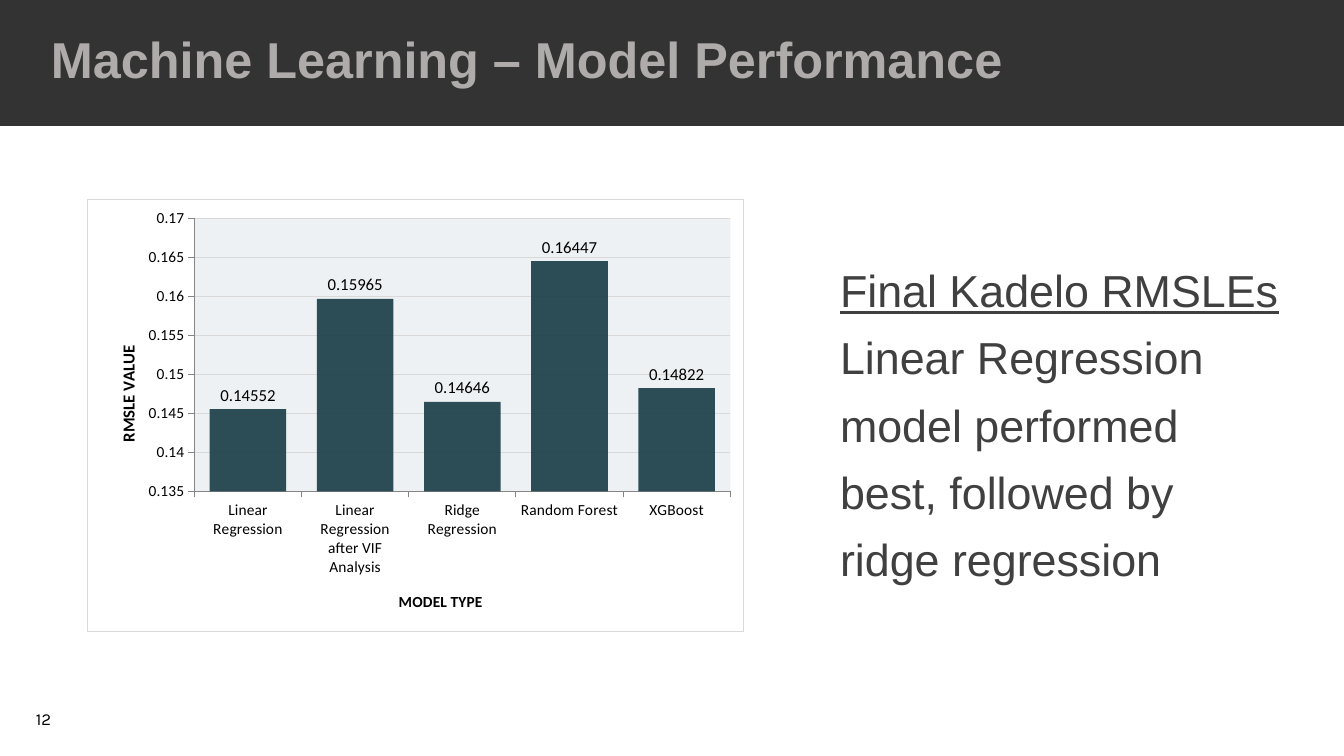
from dataclasses import dataclass

from lxml.etree import SubElement
from pptx import Presentation
from pptx.chart.data import CategoryChartData as ChartData
from pptx.dml.color import RGBColor
from pptx.enum.chart import XL_CHART_TYPE as ChartType, XL_LABEL_POSITION as LabelPosition
from pptx.enum.chart import XL_TICK_MARK as TickMark
from pptx.enum.shapes import MSO_SHAPE as Preset
from pptx.enum.text import MSO_ANCHOR as Anchor, MSO_AUTO_SIZE as AutoSize, PP_ALIGN as Align
from pptx.oxml import parse_xml
from pptx.oxml.ns import nsdecls, qn
from pptx.util import Pt

EMU_PER_PX = 914400 / 100.8


@dataclass(frozen=True)
class Theme:
    band: str = "333333"
    title: str = "AFABAB"
    body: str = "404040"
    ink: str = "000000"
    grid: str = "D9D9D9"
    axis: str = "868686"
    bar: str = "183C46"
    plot: str = "D1D9DF"
    font: str = "Arial"
    chart_font: str = "Calibri"
    number_font: str = "Karla"
    title_size: int = 36
    body_size: int = 32
    label_size: int = 12
    axis_size: int = 11


THEME = Theme()

RMSLE = {
    "Linear Regression": 0.14552,
    "Linear Regression after VIF Analysis": 0.15965,
    "Ridge Regression": 0.14646,
    "Random Forest": 0.16447,
    "XGBoost": 0.14822,
}


def px(length):
    return round(length * EMU_PER_PX)


def apply(target, **values):
    for name, value in values.items():
        setattr(target, name, value)


def set_font(font, name, size, color, **more):
    apply(font, name=name, size=Pt(size), **more)
    font.color.rgb = RGBColor.from_string(color)


def place(shape, left, top, width, height):
    apply(shape, left=px(left), top=px(top), width=px(width), height=px(height))


def set_frame(frame, side, edge, **more):
    apply(frame, margin_left=px(side), margin_right=px(side), margin_top=px(edge),
          margin_bottom=px(edge), word_wrap=True, **more)


# Page parts
def add_band(page):
    band = page.shapes.add_shape(Preset.RECTANGLE, 0, 0, px(1344), px(126))
    band.shadow.inherit = False
    band.fill.solid()
    band.fill.fore_color.rgb = RGBColor.from_string(THEME.band)
    band.line.fill.background()
    page.shapes.title.element.addprevious(band.element)


def fill_title(box, text):
    place(box, 51, -1, 1243, 127)
    set_frame(box.text_frame, 0, 5, vertical_anchor=Anchor.MIDDLE, auto_size=AutoSize.NONE)
    para = box.text_frame.paragraphs[0]
    para.text = text
    apply(para, alignment=Align.LEFT, line_spacing=0.9)
    set_font(para.runs[0].font, THEME.font, THEME.title_size, THEME.title, bold=True)


def fill_body(box, entries):
    place(box, 780, 231, 513, 363)
    frame = box.text_frame
    set_frame(frame, 10, 5, vertical_anchor=Anchor.TOP, auto_size=AutoSize.SHAPE_TO_FIT_TEXT)
    for index, (text, underline, spacing, after) in enumerate(entries):
        para = frame.add_paragraph() if index else frame.paragraphs[0]
        properties = para._p.get_or_add_pPr()
        properties.set("marL", str(px(50)))
        properties.set("indent", "0")
        SubElement(properties, qn("a:buNone"))
        para.text = text
        apply(para, alignment=Align.LEFT, line_spacing=spacing,
              space_before=Pt(0), space_after=Pt(after))
        set_font(para.runs[0].font, THEME.font, THEME.body_size, THEME.body, underline=underline)


def add_page_number(page, number):
    box = page.shapes.add_textbox(px(36), px(709), px(49), px(20))
    set_frame(box.text_frame, 0, 0)
    span = box.text_frame.paragraphs[0].add_run()
    span.text = number
    set_font(span.font, THEME.number_font, THEME.label_size, THEME.ink)


# Chart parts
def set_layout(parent, position, **fractions):
    for old in parent.findall(qn("c:layout")):
        parent.remove(old)
    layout = parse_xml(f"<c:layout {nsdecls('c')}><c:manualLayout/></c:layout>")
    for name, value in fractions.items():
        SubElement(layout[0], qn(f"c:{name}")).set("val", str(value))
    parent.insert(position, layout)


def shape_style(fill, alpha, line):
    outline = f'<a:solidFill><a:srgbClr val="{line}"/></a:solidFill>' if line else "<a:noFill/>"
    return parse_xml(
        f'<c:spPr {nsdecls("c", "a")}><a:solidFill><a:srgbClr val="{fill}">'
        f'<a:alpha val="{alpha * 1000}"/></a:srgbClr></a:solidFill>'
        f'<a:ln w="9525">{outline}</a:ln></c:spPr>')


def style_axis(axis, title, title_size, turn, x, y):
    apply(axis, major_tick_mark=TickMark.OUTSIDE, minor_tick_mark=TickMark.NONE)
    set_font(axis.tick_labels.font, THEME.chart_font, THEME.axis_size, THEME.ink)
    axis.format.line.color.rgb = RGBColor.from_string(THEME.axis)
    frame = axis.axis_title.text_frame
    frame.text = title
    set_font(frame.paragraphs[0].runs[0].font, THEME.chart_font, title_size, THEME.ink, bold=True)
    body = frame._txBody.find(qn("a:bodyPr"))
    body.set("rot", str(turn * 60000))
    body.set("vert", "horz")
    set_layout(axis.axis_title._element, 1, xMode="edge", yMode="edge", x=x, y=y)


def add_rmsle_chart(page):
    data = ChartData(number_format="General")
    data.categories = list(RMSLE)
    data.add_series("Series 1", list(RMSLE.values()))
    chart = page.shapes.add_chart(
        ChartType.COLUMN_CLUSTERED, px(87), px(199), px(657), px(433), data).chart
    apply(chart, has_legend=False, has_title=False)
    set_font(chart.font, THEME.chart_font, 10, THEME.ink)

    # Columns and value labels
    plot = chart.plots[0]
    apply(plot, gap_width=40, vary_by_categories=False, has_data_labels=True)
    labels = plot.data_labels
    apply(labels, show_value=True, position=LabelPosition.OUTSIDE_END,
          number_format="General", number_format_is_linked=False)
    set_font(labels.font, THEME.chart_font, THEME.label_size, THEME.ink)
    fill = plot.series[0].format.fill
    fill.solid()
    fill.fore_color.rgb = RGBColor.from_string(THEME.bar)
    bar_color = plot.series[0]._element.find(".//" + qn("a:srgbClr"))
    SubElement(bar_color, qn("a:alpha")).set("val", "90000")

    # Axes
    style_axis(chart.category_axis, "MODEL TYPE", THEME.axis_size, 0, 0.47, 0.9)
    values = chart.value_axis
    style_axis(values, "RMSLE VALUE", THEME.label_size, -90, 0.04, 0.33)
    apply(values, minimum_scale=0.135, maximum_scale=0.17, major_unit=0.005,
          has_major_gridlines=True)
    values.tick_labels.number_format = "General"
    values.tick_labels.number_format_is_linked = False
    grid = values.major_gridlines.format.line
    grid.width = Pt(0.5)
    grid.color.rgb = RGBColor.from_string(THEME.grid)

    # Plot area and frame
    root = chart._chartSpace.find(qn("c:chart"))
    area = root.find(qn("c:plotArea"))
    set_layout(area, 0, layoutTarget="inner", xMode="edge", yMode="edge",
               x=0.163, y=0.043, w=0.817, h=0.633)
    area.append(shape_style(THEME.plot, 35, None))
    root.addnext(shape_style("FFFFFF", 100, THEME.grid))


def main():
    deck = Presentation()
    apply(deck, slide_width=px(1344), slide_height=px(756))
    page = deck.slides.add_slide(deck.slide_layouts[1])
    add_band(page)
    fill_title(page.shapes.title, "Machine Learning – Model Performance")
    add_rmsle_chart(page)
    fill_body(page.placeholders[1], [
        ("Final Kadelo RMSLEs", True, 1.5, 0),
        ("Linear Regression model performed best, followed by ridge regression",
         False, Pt(48), 24),
    ])
    add_page_number(page, "12")
    deck.save("out.pptx")


if __name__ == "__main__":
    main()
